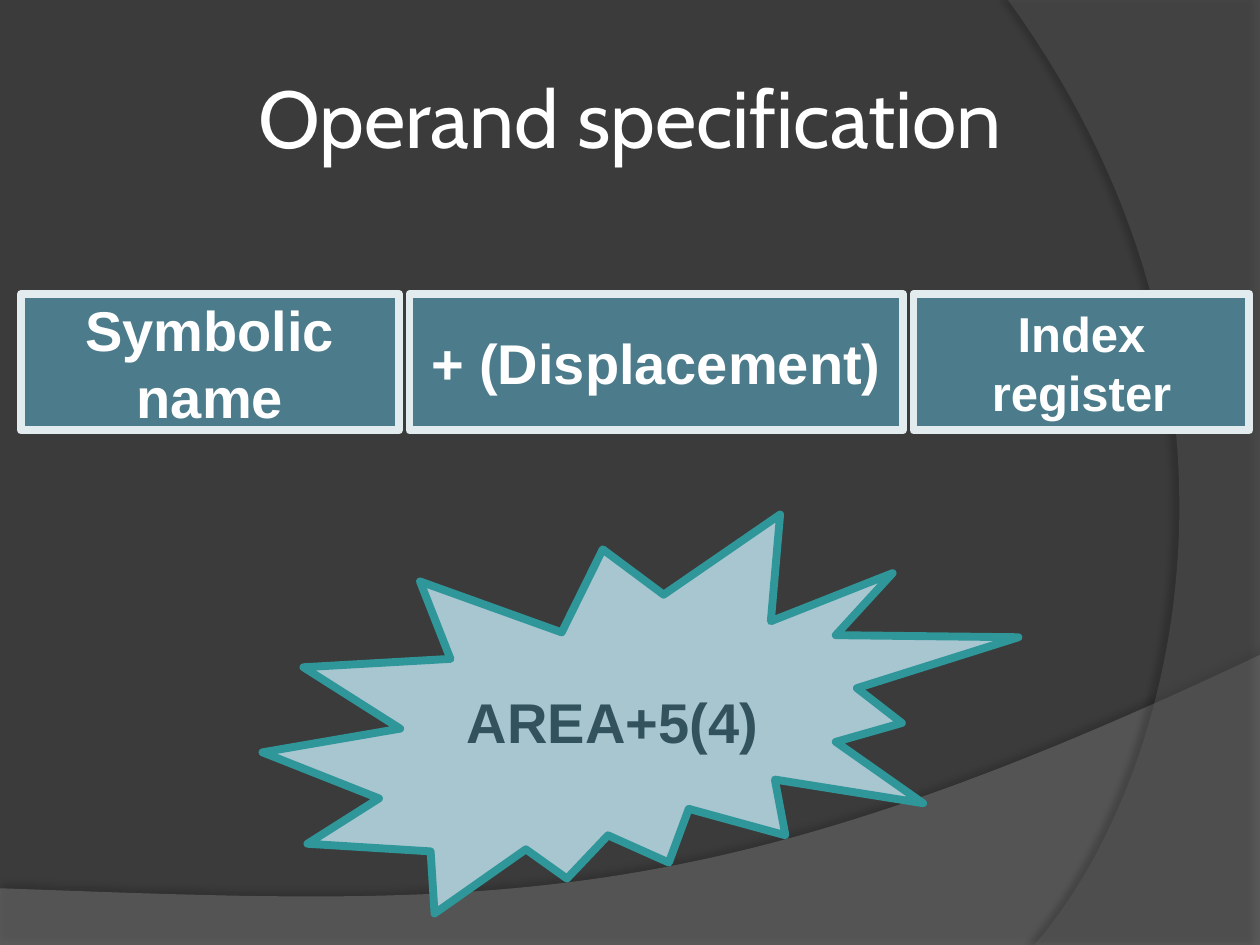
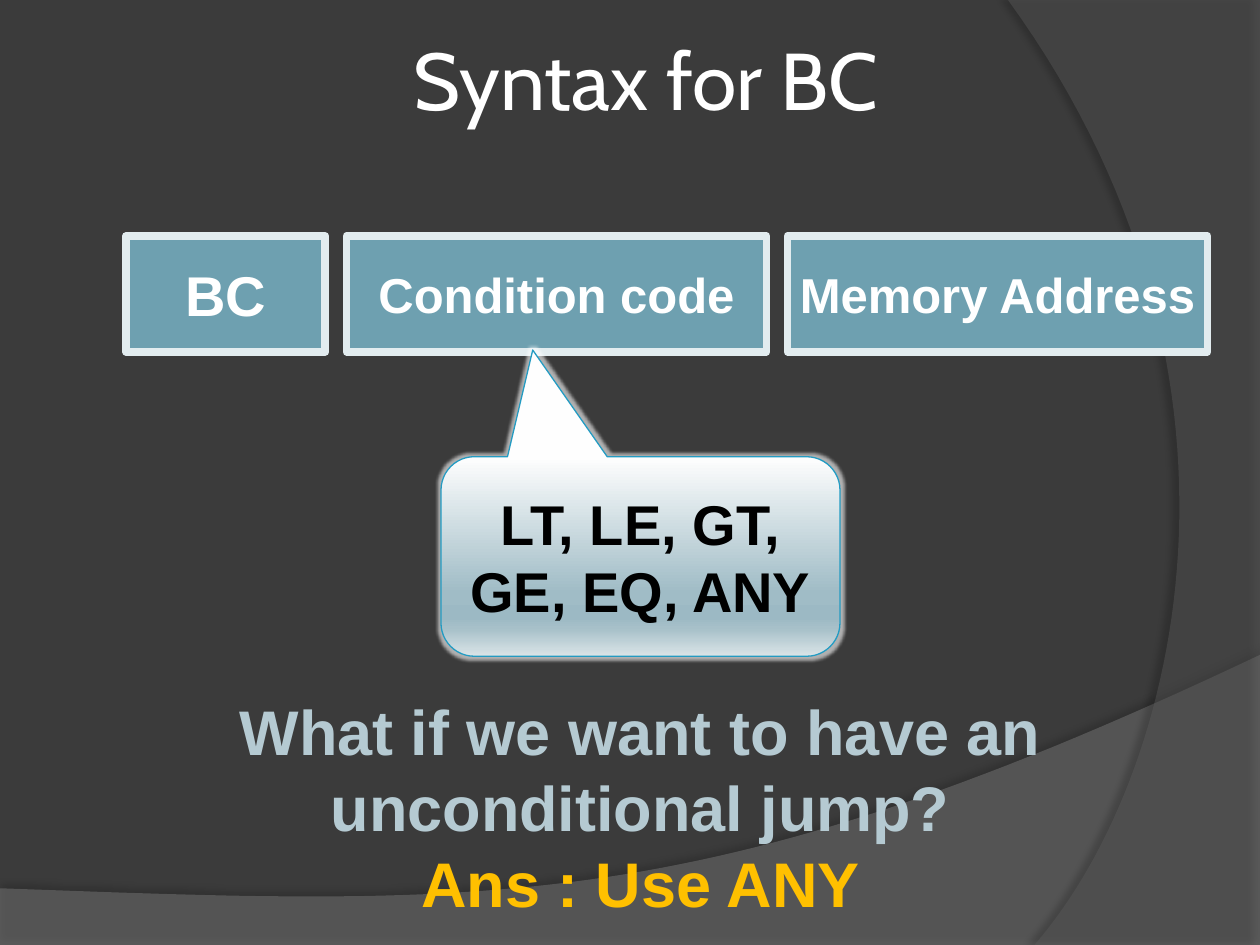
from typing import NamedTuple

from lxml import etree
from pptx import Presentation
from pptx.dml.color import RGBColor
from pptx.enum.shapes import MSO_SHAPE
from pptx.enum.text import MSO_ANCHOR, PP_ALIGN
from pptx.oxml.ns import qn
from pptx.util import Inches, Pt

RECTANGLE = MSO_SHAPE.RECTANGLE
BURST = MSO_SHAPE.EXPLOSION2
CALLOUT = MSO_SHAPE.ROUNDED_RECTANGULAR_CALLOUT
CENTER = PP_ALIGN.CENTER
MIDDLE = MSO_ANCHOR.MIDDLE

WIDTH, HEIGHT = Inches(10), Inches(7.5)
COLUMNS, ROWS = 120, 90
BLANK = 6

BACKDROP = RGBColor(0x3B, 0x3B, 0x3B)
LOWER_BAND = RGBColor(0x7F, 0x7F, 0x7F)
RIGHT_BAND = RGBColor(0x5E, 0x5E, 0x5E)
BLACK = RGBColor(0, 0, 0)
WHITE = RGBColor(0xFF, 0xFF, 0xFF)
FRAME = RGBColor(0xE2, 0xEC, 0xEF)
DEEP_TEAL = RGBColor(0x4C, 0x7C, 0x8B)
SOFT_TEAL = RGBColor(0x6E, 0xA0, 0xB0)
BURST_FILL = RGBColor(0xA8, 0xC6, 0xD0)
BURST_EDGE = RGBColor(0x2F, 0x96, 0x99)
BURST_TEXT = RGBColor(0x32, 0x52, 0x5D)
CALLOUT_EDGE = RGBColor(0x23, 0x9B, 0xC2)
QUESTION = RGBColor(0xB5, 0xCA, 0xD2)
ANSWER = RGBColor(0xFF, 0xC0, 0x00)
CALLOUT_STOPS = [
    (0, RGBColor(0xFE, 0xFE, 0xFE)),
    (68, RGBColor(0xA0, 0xBC, 0xC6)),
    (81, RGBColor(0x9C, 0xB9, 0xC4)),
    (86, RGBColor(0xA7, 0xC0, 0xC9)),
    (100, RGBColor(0xDA, 0xE4, 0xE7)),
]

TITLE_FONT, BODY_FONT = "Cabin", "Arial"


class Box(NamedTuple):
    """An area of the slide in grid columns and rows."""
    left: float
    top: float
    width: float
    height: float

    def emu(self):
        column, row = WIDTH / COLUMNS, HEIGHT / ROWS
        return (round(self.left * column), round(self.top * row),
                round(self.width * column), round(self.height * row))


def add_child(parent, tag, **attributes):
    child = etree.SubElement(parent, qn(tag))
    for key, value in attributes.items():
        child.set(key, str(value))
    return child


def add_color(parent, color, opacity=100):
    node = add_child(parent, "a:srgbClr", val=color)
    if opacity < 100:
        add_child(node, "a:alpha", val=opacity * 1000)


def add_effect(shape, tag, color, opacity, **attributes):
    effects = shape.element.spPr.find(qn("a:effectLst"))
    add_color(add_child(effects, tag, **attributes), color, opacity)


def format_text(paragraph, size, color, font=BODY_FONT, bold=True):
    paragraph.alignment = CENTER
    for run in paragraph.runs:
        run.font.name = font
        run.font.size = Pt(size)
        run.font.bold = bold
        run.font.color.rgb = color


def bezier(start, control_1, control_2, end, steps=60):
    curve = []
    for step in range(steps + 1):
        t = step / steps
        weights = ((1 - t) ** 3, 3 * t * (1 - t) ** 2, 3 * t * t * (1 - t), t ** 3)
        points = (start, control_1, control_2, end)
        curve.append(tuple(sum(w * p[axis] for w, p in zip(weights, points))
                           for axis in (0, 1)))
    return curve


def add_swoosh(slide, outline, color, opacity, shadow_opacity, distance, direction):
    """Draw a translucent band; outline points are shares of the slide."""
    points = [(round(x * WIDTH), round(y * HEIGHT)) for x, y in outline]
    builder = slide.shapes.build_freeform(*points[0])
    builder.add_line_segments(points[1:], close=True)
    band = builder.convert_to_shape()
    band.fill.solid()
    band.fill.fore_color.rgb = color
    band.line.fill.background()
    band.shadow.inherit = False
    tint = band.element.spPr.find(qn("a:solidFill"))[0]
    add_child(tint, "a:alpha", val=opacity * 1000)
    add_effect(band, "a:outerShdw", BLACK, shadow_opacity, blurRad=Pt(4),
               dist=Pt(distance), dir=direction * 60000, algn="ctr", rotWithShape=0)


def add_backdrop(slide):
    hill = bezier((1, 0.693), (0.559, 0.972), (0.391, 0.959), (0, 0.94))
    add_swoosh(slide, [(0, 1), (1, 1)] + hill, LOWER_BAND, 45, 35, 3.5, 270)
    arc = bezier((0.821, 1), (0.935, 0.825), (1.018, 0.4), (0.8, 0))
    add_swoosh(slide, [(1, 0), (1, 1)] + arc, RIGHT_BAND, 40, 45, 4, 180)


def add_title(slide, box, text):
    frame = slide.shapes.add_textbox(*box.emu()).text_frame
    frame.word_wrap = True
    frame.vertical_anchor = MIDDLE
    frame.margin_left = frame.margin_right = Inches(0.05)
    frame.margin_top = frame.margin_bottom = Inches(0.05)
    frame.text = text
    format_text(frame.paragraphs[0], 46, WHITE, TITLE_FONT, bold=False)


def new_slide(deck, title, title_box):
    slide = deck.slides.add_slide(deck.slide_layouts[BLANK])
    add_backdrop(slide)
    add_title(slide, title_box, title)
    return slide


def add_label(slide, kind, box, text, size, text_color, fill, edge, edge_width=4.5):
    label = slide.shapes.add_shape(kind, *box.emu())
    label.fill.solid()
    label.fill.fore_color.rgb = fill
    label.line.color.rgb = edge
    label.line.width = Pt(edge_width)
    add_child(label.line._get_or_add_ln(), "a:round")
    label.shadow.inherit = False
    frame = label.text_frame
    frame.word_wrap = True
    frame.vertical_anchor = MIDDLE
    frame.text = text
    format_text(frame.paragraphs[0], size, text_color)
    return label


def add_syntax_row(slide, box, gap, fill, fields):
    """Lay out (text, size, columns) fields from left to right."""
    left = box.left
    for text, size, columns in fields:
        field = Box(left, box.top, columns, box.height)
        add_label(slide, RECTANGLE, field, text, size, WHITE, fill, FRAME)
        left += columns + gap


def add_code_callout(slide, box, text):
    callout = add_label(slide, CALLOUT, box, text, 32, BLACK,
                        WHITE, CALLOUT_EDGE, 0.75)
    for index, value in enumerate((-0.27, -1.035, 0.167)):
        callout.adjustments[index] = value
    gradient = etree.Element(qn("a:gradFill"), rotWithShape="1")
    stops = add_child(gradient, "a:gsLst")
    for position, color in CALLOUT_STOPS:
        add_color(add_child(stops, "a:gs", pos=position * 1000), color)
    add_child(gradient, "a:lin", ang=90 * 60000, scaled=0)
    properties = callout.element.spPr
    properties.replace(properties.find(qn("a:solidFill")), gradient)
    add_effect(callout, "a:glow", WHITE, 60, rad=Pt(4))


def add_question(slide, box, question, answer):
    frame = slide.shapes.add_textbox(*box.emu()).text_frame
    frame.word_wrap = True
    frame.text = question
    format_text(frame.paragraphs[0], 36, QUESTION)
    reply = frame.add_paragraph()
    reply.text = answer
    format_text(reply, 36, ANSWER)


def build_operand_slide(deck):
    slide = new_slide(deck, "Operand specification", Box(6, 3.6, 108, 15))
    add_syntax_row(slide, Box(2, 28, 117, 13), 1, DEEP_TEAL, [
        ("Symbolic name", 32, 36),
        ("+ (Displacement)", 32, 47),
        ("Index register", 28, 32),
    ])
    add_label(slide, BURST, Box(25, 49, 72, 38), "AREA+5(4)", 32,
              BURST_TEXT, BURST_FILL, BURST_EDGE)


def build_branch_slide(deck):
    slide = new_slide(deck, "Syntax for BC", Box(6, 0, 111, 15))
    add_syntax_row(slide, Box(12, 22.5, 103, 11), 2, SOFT_TEAL, [
        ("BC", 32, 19),
        ("Condition code", 28, 40),
        ("Memory Address", 28, 40),
    ])
    add_code_callout(slide, Box(42, 43.5, 38, 19), "LT, LE, GT, GE, EQ, ANY")
    add_question(slide, Box(4, 65.4, 114, 23),
                 "What if we want to have an unconditional jump?", "Ans : Use ANY")


def main():
    deck = Presentation()
    deck.slide_width, deck.slide_height = WIDTH, HEIGHT
    backdrop = deck.slide_master.background.fill
    backdrop.solid()
    backdrop.fore_color.rgb = BACKDROP
    build_operand_slide(deck)
    build_branch_slide(deck)
    deck.save("out.pptx")


if __name__ == "__main__":
    main()
